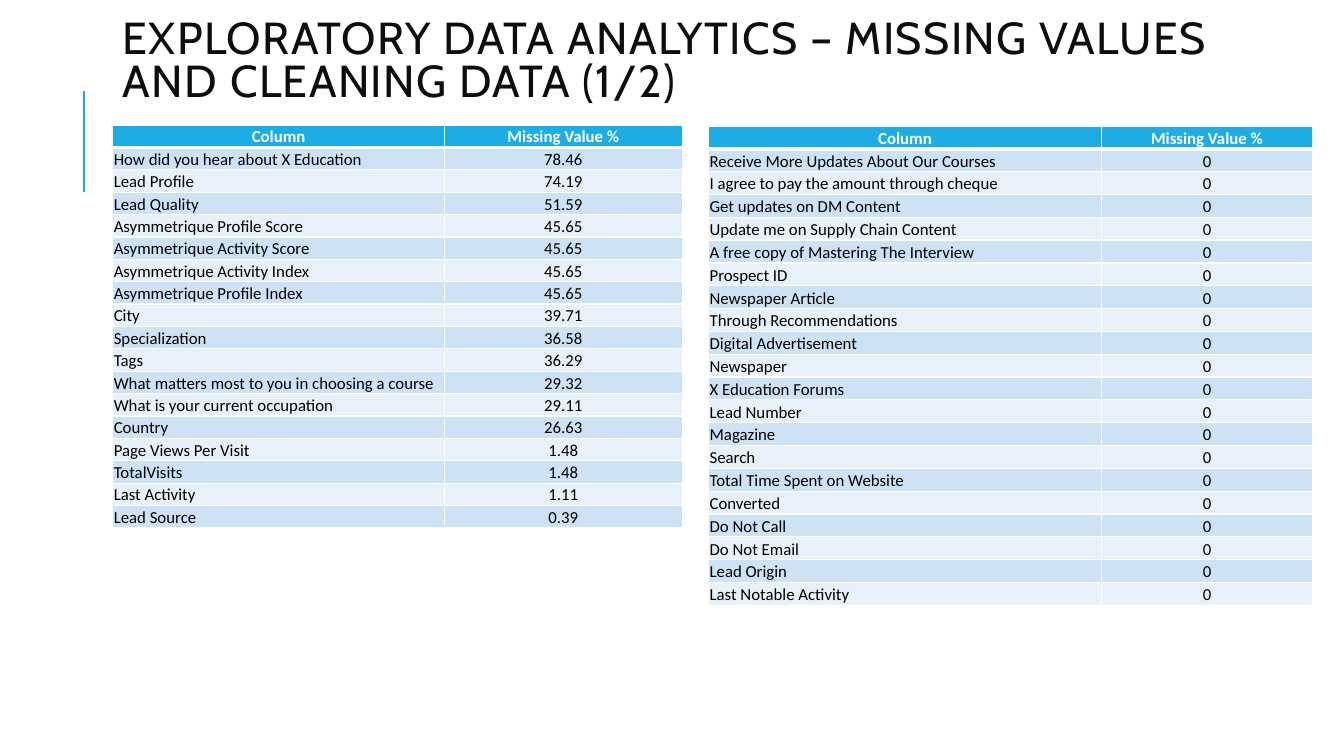
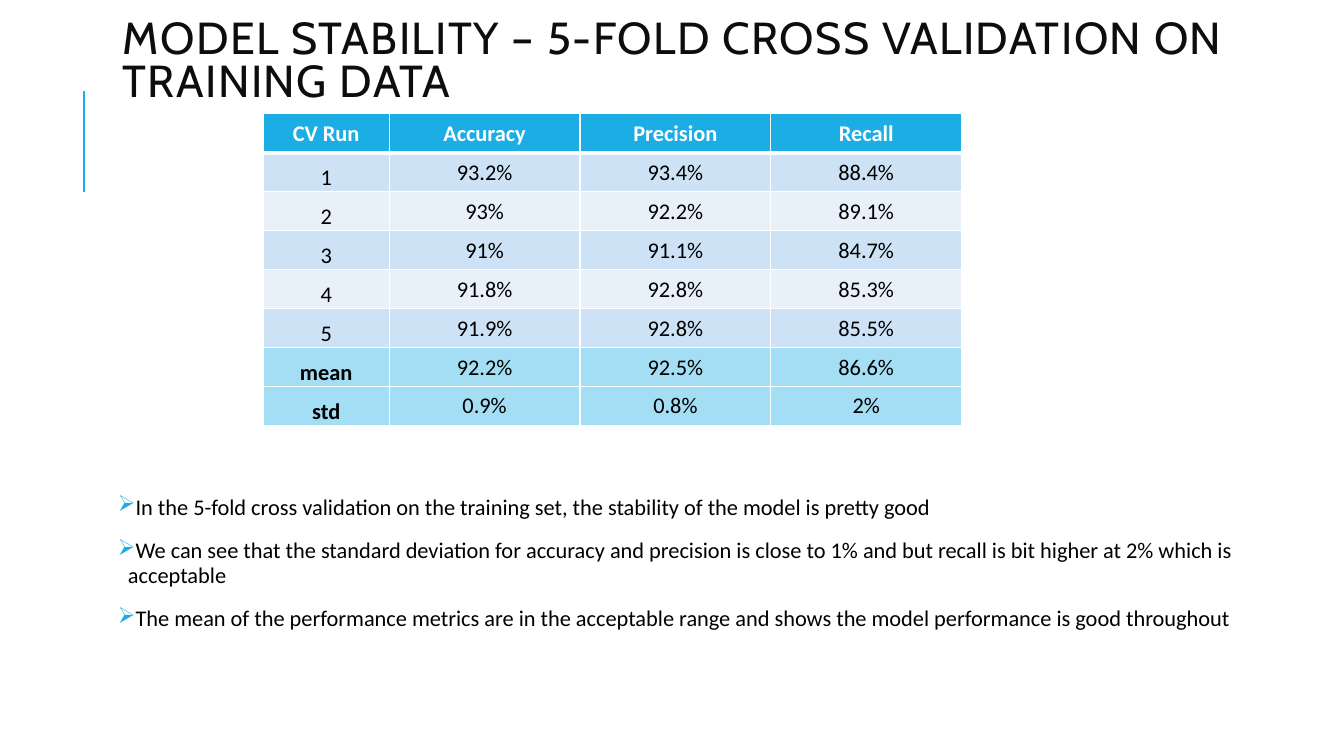
import lxml.etree
import pptx
import pptx.dml.color
import pptx.enum.shapes
import pptx.enum.text
import pptx.oxml.ns
import pptx.util

Pt = pptx.util.Pt
qn = pptx.oxml.ns.qn
ALIGN = pptx.enum.text.PP_ALIGN
ANCHOR = pptx.enum.text.MSO_ANCHOR

ACCENT, WHITE, BLACK, TITLE_INK = "1CADE4", "FFFFFF", "000000", "0D0D0D"
BANDS = ("CDE3F5", "E8F1FA")
SUMMARY = "A4DEF4"
TITLE_FONT = {"name": "Cabin", "size": Pt(32)}
CELL_MARGINS = {
    "margin_left": Pt(0.7),
    "margin_top": Pt(0.7),
    "margin_right": Pt(0.7),
    "margin_bottom": Pt(0),
}
BULLET_SPACING = {"line_spacing": 0.9, "space_before": Pt(12), "space_after": Pt(2)}

MISSING_HEADER = ("Column", "Missing Value %")
INCOMPLETE_COLUMNS = [
    ("How did you hear about X Education", "78.46"),
    ("Lead Profile", "74.19"),
    ("Lead Quality", "51.59"),
    ("Asymmetrique Profile Score", "45.65"),
    ("Asymmetrique Activity Score", "45.65"),
    ("Asymmetrique Activity Index", "45.65"),
    ("Asymmetrique Profile Index", "45.65"),
    ("City", "39.71"),
    ("Specialization", "36.58"),
    ("Tags", "36.29"),
    ("What matters most to you in choosing a course", "29.32"),
    ("What is your current occupation", "29.11"),
    ("Country", "26.63"),
    ("Page Views Per Visit", "1.48"),
    ("TotalVisits", "1.48"),
    ("Last Activity", "1.11"),
    ("Lead Source", "0.39"),
]
COMPLETE_COLUMNS = [
    "Receive More Updates About Our Courses",
    "I agree to pay the amount through cheque",
    "Get updates on DM Content",
    "Update me on Supply Chain Content",
    "A free copy of Mastering The Interview",
    "Prospect ID",
    "Newspaper Article",
    "Through Recommendations",
    "Digital Advertisement",
    "Newspaper",
    "X Education Forums",
    "Lead Number",
    "Magazine",
    "Search",
    "Total Time Spent on Website",
    "Converted",
    "Do Not Call",
    "Do Not Email",
    "Lead Origin",
    "Last Notable Activity",
]
CV_RUNS = [
    ("CV Run", "Accuracy", "Precision", "Recall"),
    ("1", "93.2%", "93.4%", "88.4%"),
    ("2", "93%", "92.2%", "89.1%"),
    ("3", "91%", "91.1%", "84.7%"),
    ("4", "91.8%", "92.8%", "85.3%"),
    ("5", "91.9%", "92.8%", "85.5%"),
    ("mean", "92.2%", "92.5%", "86.6%"),
    ("std", "0.9%", "0.8%", "2%"),
]
FINDINGS = [
    "In the 5-fold cross validation on the training set, the stability of the model is pretty good",
    "We can see that the standard deviation for accuracy and precision is close to 1% "
    "and but recall is bit higher at 2% which is acceptable",
    "The mean of the performance metrics are in the acceptable range "
    "and shows the model performance is good throughout",
]


def apply(target, formats):
    """Set every attribute named in formats on target."""
    for attribute, value in formats.items():
        setattr(target, attribute, value)


def paint(fill, colour):
    """Make a fill solid in the given hex colour."""
    fill.solid()
    fill.fore_color.rgb = pptx.dml.color.RGBColor.from_string(colour)


def add_text(paragraph, text, font, colour):
    """Add one formatted run to a paragraph and return it."""
    run = paragraph.add_run()
    run.text = text
    apply(run.font, font)
    paint(run.font.fill, colour)
    return run


def add_frame(slide, left, top, width, height):
    """Add a wrapping text box and return its text frame."""
    frame = slide.shapes.add_textbox(Pt(left), Pt(top), Pt(width), Pt(height)).text_frame
    frame.word_wrap = True
    return frame


def add_titled_slide(deck, title):
    """Add a blank slide with the accent rule and the title."""
    slide = deck.slides.add_slide(deck.slide_layouts[6])
    rule = slide.shapes.add_connector(
        pptx.enum.shapes.MSO_CONNECTOR.STRAIGHT, Pt(60), Pt(136.8), Pt(60), Pt(64.8)
    )
    paint(rule.line.fill, ACCENT)
    rule.line.width = Pt(1.5)
    lxml.etree.SubElement(rule._element.spPr, qn("a:effectLst"))
    frame = add_frame(slide, 80.6, 22.3, 802, 45.4)
    frame.vertical_anchor = ANCHOR.MIDDLE
    heading = frame.paragraphs[0]
    heading.line_spacing = 0.8
    run = add_text(heading, title, TITLE_FONT, TITLE_INK)
    run.font._element.set("spc", "100")
    return slide


def add_borders(cell, top, bottom):
    """Draw white cell borders with the given top and bottom widths."""
    properties = cell._tc.get_or_add_tcPr()
    for side, width in {"L": 1, "R": 1, "T": top, "B": bottom}.items():
        border = lxml.etree.SubElement(properties, qn(f"a:ln{side}"), w=str(Pt(width)))
        fill = lxml.etree.SubElement(border, qn("a:solidFill"))
        lxml.etree.SubElement(fill, qn("a:srgbClr"), val=WHITE)


def add_data_table(slide, left, top, widths, row_height, rows, size,
                   label_align, value_anchor, summary_rows=0):
    """Add a banded table with a header and optional summary rows."""
    table = slide.shapes.add_table(
        len(rows), len(widths), Pt(left), Pt(top), Pt(sum(widths)), Pt(row_height * len(rows))
    ).table
    apply(table, {"first_row": False, "horz_banding": False})
    for column, width in zip(table.columns, widths):
        column.width = Pt(width)
    for r, values in enumerate(rows):
        table.rows[r].height = Pt(row_height)
        header = r == 0
        summary = r >= len(rows) - summary_rows
        colour = ACCENT if header else SUMMARY if summary else BANDS[(r - 1) % 2]
        for c, text in enumerate(values):
            cell = table.cell(r, c)
            label = c == 0 and not header
            apply(cell, CELL_MARGINS)
            cell.vertical_anchor = ANCHOR.BOTTOM if label else value_anchor
            add_borders(cell, 3 if r == 1 else 1, 3 if header else 1)
            paint(cell.fill, colour)
            paragraph = cell.text_frame.paragraphs[0]
            paragraph.alignment = label_align if label else ALIGN.CENTER
            font = {"name": "Calibri", "size": Pt(size), "bold": header or (summary and label)}
            add_text(paragraph, text, font, WHITE if header else BLACK)


def add_bullets(slide, left, top, width, height, items):
    """Add a list with accent arrow bullets."""
    frame = add_frame(slide, left, top, width, height)
    margins = ("margin_left", "margin_top", "margin_right", "margin_bottom")
    apply(frame, dict.fromkeys(margins, Pt(3.6)))
    for i, item in enumerate(items):
        paragraph = frame.add_paragraph() if i else frame.paragraphs[0]
        apply(paragraph, BULLET_SPACING)
        properties = paragraph._p.get_or_add_pPr()
        properties.set("marL", str(Pt(7.2)))
        properties.set("indent", str(-Pt(7.2)))
        bullet_colour = lxml.etree.SubElement(properties, qn("a:buClr"))
        lxml.etree.SubElement(bullet_colour, qn("a:srgbClr"), val=ACCENT)
        lxml.etree.SubElement(properties, qn("a:buChar"), char="➢")
        add_text(paragraph, item, {"name": "Calibri", "size": Pt(16)}, BLACK)


def main():
    """Build the two slides and save the deck."""
    deck = pptx.Presentation()
    apply(deck, {"slide_width": Pt(960), "slide_height": Pt(540)})

    missing = add_titled_slide(
        deck, "EXPLORATORY DATA ANALYTICS – MISSING VALUES AND CLEANING DATA (1/2)"
    )
    add_data_table(missing, 80.6, 89.3, (236.9, 169.9), 16, [MISSING_HEADER] + INCOMPLETE_COLUMNS,
                   12, ALIGN.LEFT, ANCHOR.BOTTOM)
    complete_rows = [(name, "0") for name in COMPLETE_COLUMNS]
    add_data_table(missing, 506.2, 90, (280.6, 150.8), 16.32, [MISSING_HEADER] + complete_rows,
                   12, ALIGN.LEFT, ANCHOR.BOTTOM)

    stability = add_titled_slide(
        deck, "MODEL STABILITY – 5-FOLD CROSS VALIDATION ON TRAINING DATA"
    )
    add_bullets(stability, 80.6, 350.6, 807.1, 114.5, FINDINGS)
    add_data_table(stability, 188, 81.3, (90, 136.3, 136.3, 136.3), 27.83, CV_RUNS,
                   16, ALIGN.CENTER, ANCHOR.MIDDLE, summary_rows=2)

    deck.save("out.pptx")


if __name__ == "__main__":
    main()
